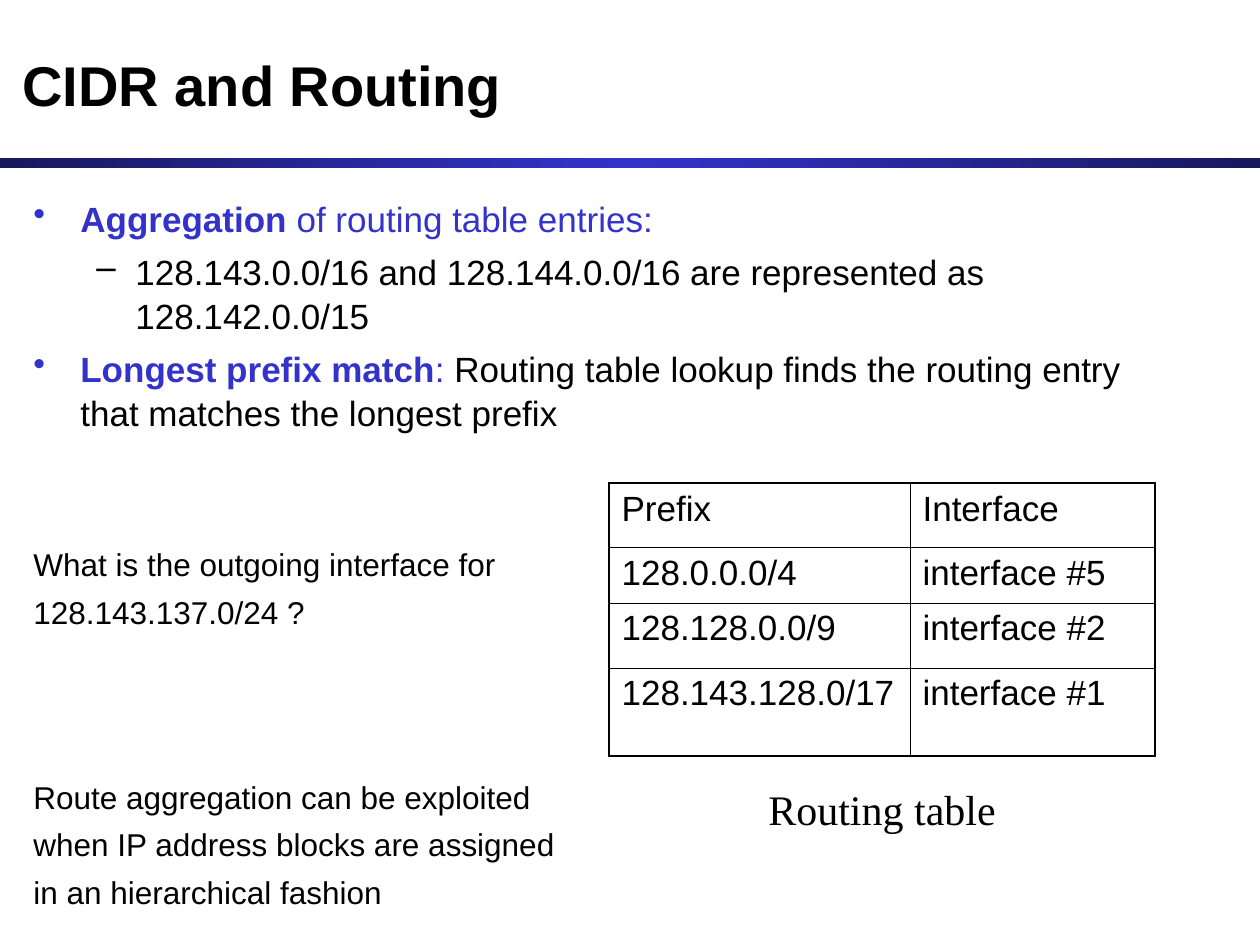
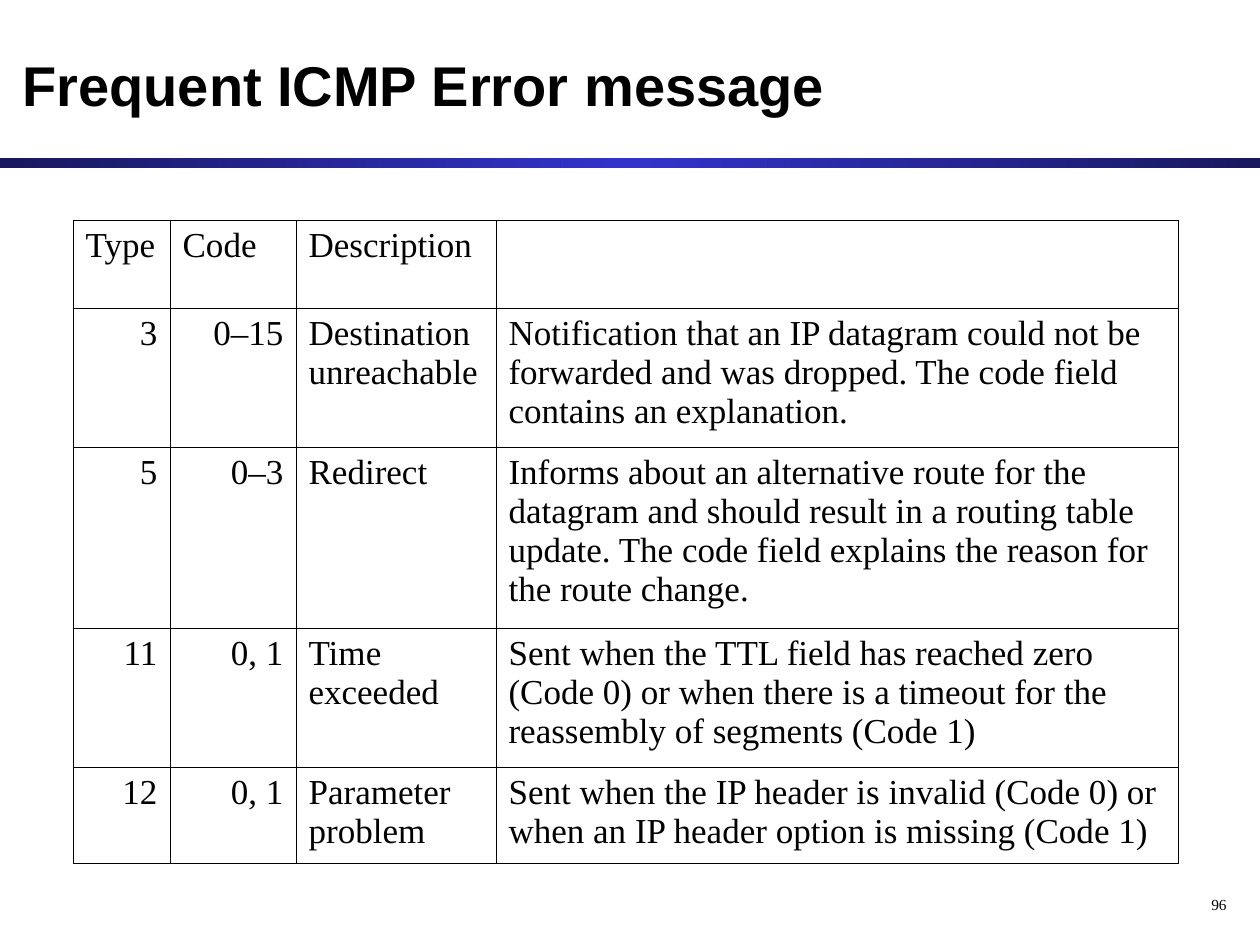
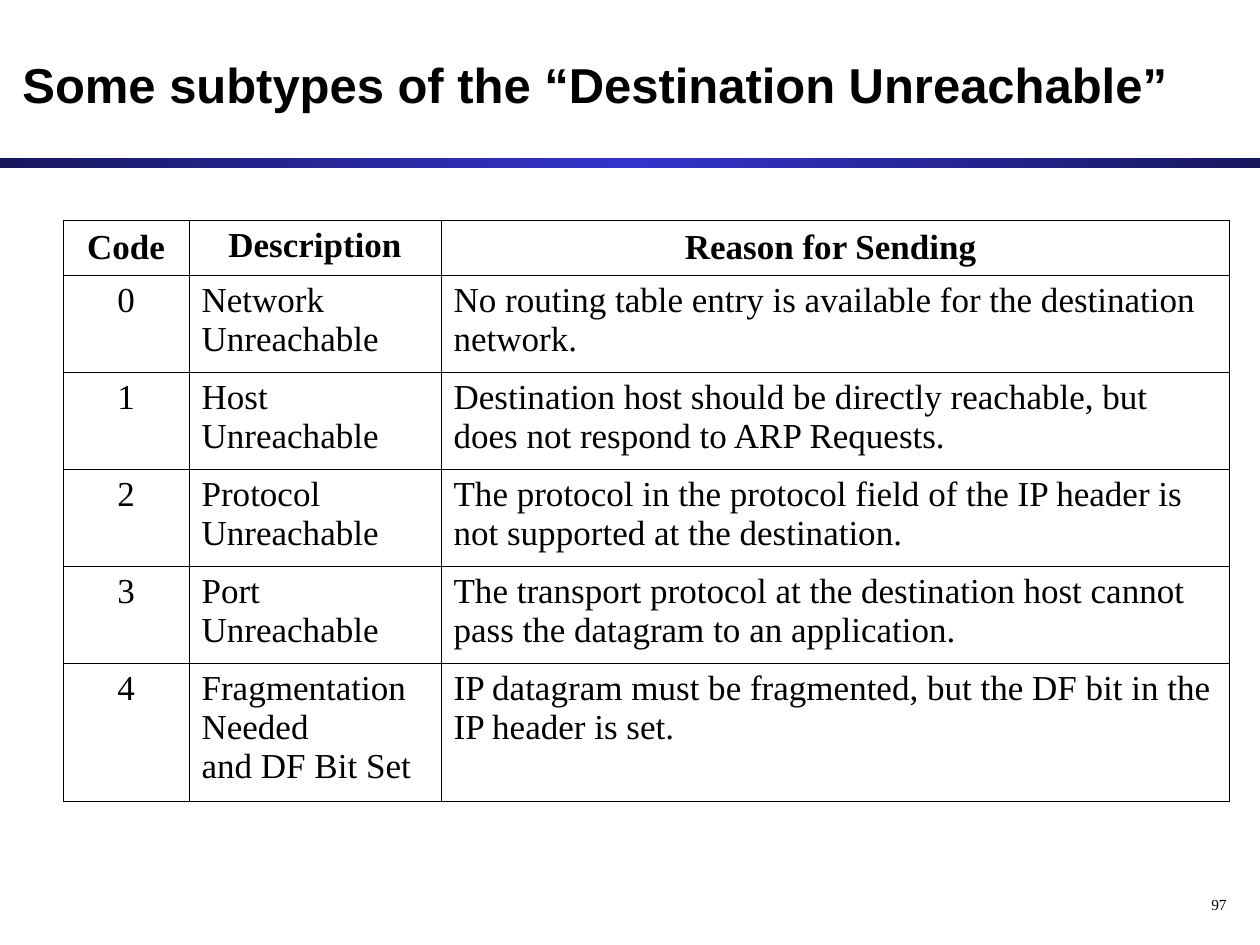
from copy import deepcopy

from lxml.etree import SubElement
from pptx import Presentation
from pptx.dml.color import RGBColor
from pptx.enum.shapes import MSO_SHAPE
from pptx.enum.text import MSO_ANCHOR, PP_ALIGN
from pptx.oxml.ns import qn
from pptx.util import Emu, Pt

PX_PER_INCH = 126
COLORS = {"ink": "000000", "accent": "3333CC", "navy": "18185E", "paper": "FFFFFF"}
SANS, SERIF = "Arial", "Times New Roman"
ALIGN = {"l": PP_ALIGN.LEFT, "c": PP_ALIGN.CENTER, "r": PP_ALIGN.RIGHT}


def px(n):
    return Emu(round(n * 914400 / PX_PER_INCH))


def rgb(name):
    return RGBColor.from_string(COLORS[name])


class Deck:
    """Holds the shared style and the slide being built."""

    def __init__(self):
        self.prs = Presentation()
        self.prs.slide_width, self.prs.slide_height = px(1260), px(945)
        self.s = None

    def new_slide(self, title, size=32, number=None):
        self.s = self.prs.slides.add_slide(self.prs.slide_layouts[6])
        self.band()
        if number:
            p = self.text(976, 892, 263, 32, number, size=8.8, name=SERIF)
            p.alignment, p.line_spacing = PP_ALIGN.RIGHT, 0.8
        self.text(10, 21, 1239, 126, title, MSO_ANCHOR.MIDDLE, size=size, bold=True)

    def band(self):
        sp = self.s.shapes.add_shape(MSO_SHAPE.RECTANGLE, 0, px(158), px(1260), px(10))
        sp.shadow.inherit = False
        sp.line.fill.background()
        sp.fill.gradient()
        sp.fill.gradient_angle = 0
        stops = sp.fill.gradient_stops
        stops[0].color.rgb, stops[1].color.rgb = rgb("navy"), rgb("accent")
        stops[0].position, stops[1].position = 0, 0.5
        gs_list = sp.fill._fill._gradFill.find(qn("a:gsLst"))
        end = deepcopy(gs_list[0])
        end.set("pos", "100000")
        gs_list.append(end)

    def frame(self, x, y, w, h, anchor=MSO_ANCHOR.TOP):
        tf = self.s.shapes.add_textbox(px(x), px(y), px(w), px(h)).text_frame
        tf.word_wrap, tf.vertical_anchor = True, anchor
        return tf

    def text(self, x, y, w, h, text, anchor=MSO_ANCHOR.TOP, **fmt):
        p = self.frame(x, y, w, h, anchor).paragraphs[0]
        self.run(p, text, **fmt)
        return p

    def run(self, p, text, color="ink", size=20, **fmt):
        """Add text to p; a newline becomes a line break."""
        for i, line in enumerate(text.split("\n")):
            if i:
                p.add_line_break()
            r = p.add_run()
            r.text = line
            r.font.color.rgb = rgb(color)
            for key, value in {"name": SANS, "size": Pt(size), **fmt}.items():
                setattr(r.font, key, value)

    def body(self, x, y, w, h, items):
        """Each item is (space before, bullet or None, runs of (text, format))."""
        bullets = {"•": (47, 47, "accent"), "–": (102, 39, "ink")}
        tf = self.frame(x, y, w, h)
        for i, (before, bullet, runs) in enumerate(items):
            p = tf.add_paragraph() if i else tf.paragraphs[0]
            p.line_spacing, p.space_before = 1.05, Pt(before)
            if bullet:
                margin, hang, color = bullets[bullet]
                pPr = p._p.get_or_add_pPr()
                pPr.set("marL", str(px(margin)))
                pPr.set("indent", str(-px(hang)))
                clr = SubElement(pPr, qn("a:buClr"))
                SubElement(clr, qn("a:srgbClr"), val=COLORS[color])
                SubElement(pPr, qn("a:buChar"), char=bullet)
            for text, fmt in runs:
                self.run(p, text, **fmt)

    def table(self, x, y, widths, heights, rows, aligns, head="l", inner=0.45,
              outer=None, name=SERIF, head_bold=False, filled=False):
        """aligns has a letter per column; head aligns the first row."""
        tbl = self.s.shapes.add_table(len(rows), len(widths), px(x), px(y),
                                      px(sum(widths)), px(sum(heights))).table
        tbl.first_row = tbl.horz_banding = False
        for col, w in zip(tbl.columns, widths):
            col.width = px(w)
        for row, h in zip(tbl.rows, heights):
            row.height = px(h)
        outer = outer or inner
        for i, row in enumerate(rows):
            for j, text in enumerate(row):
                cell = tbl.cell(i, j)
                edges = {"lnL": j == 0, "lnR": j == len(widths) - 1,
                         "lnT": i == 0, "lnB": i == len(rows) - 1}
                self.borders(cell, {k: outer if e else inner for k, e in edges.items()})
                if filled and 0 in (i, j):
                    cell.fill.solid()
                    cell.fill.fore_color.rgb = rgb("paper")
                else:
                    cell.fill.background()
                p = cell.text_frame.paragraphs[0]
                p.alignment = ALIGN[aligns[j] if i else head]
                if text:
                    self.run(p, text, name=name, bold=head_bold and i == 0)
        return tbl

    def borders(self, cell, widths):
        tcPr = cell._tc.get_or_add_tcPr()
        for tag, width in widths.items():
            ln = SubElement(tcPr, qn("a:" + tag), w=str(Pt(width)))
            fill = SubElement(ln, qn("a:solidFill"))
            SubElement(fill, qn("a:srgbClr"), val=COLORS["ink"])


def cidr_slide(deck):
    deck.new_slide("CIDR and Routing")
    blue, small = {"color": "accent"}, {"size": 18}
    strong = {**blue, "bold": True}
    deck.body(21, 189, 1176, 714, [
        (0, "•", [("Aggregation", strong), (" of routing table entries:", blue)]),
        (5, "–", [("128.143.0.0/16 and 128.144.0.0/16 are represented as "
                   "128.142.0.0/15", {})]),
        (5, "•", [("Longest prefix match", strong), (":", blue),
                  (" Routing table lookup finds the routing entry that matches "
                   "the longest prefix", {})]),
        (63, None, [("What is the outgoing interface for", small)]),
        (4.5, None, [("128.143.137.0/24 ?", small)]),
        (83, None, [("Route aggregation can be exploited", small)]),
        (4.5, None, [("when IP address blocks are assigned", small)]),
        (4.5, None, [("in an hierarchical fashion", small)]),
    ])
    deck.table(609, 483, [301, 245], [64, 56, 65, 88], [
        ("Prefix", "Interface"),
        ("128.0.0.0/4", "interface #5"),
        ("128.128.0.0/9", "interface #2"),
        ("128.143.128.0/17", "interface #1"),
    ], "ll", outer=1.08, name=SANS)
    deck.text(756, 777, 305, 63, "Routing table", size=24, name=SERIF)


def icmp_slide(deck):
    deck.new_slide("Frequent ICMP Error message", number="96")
    deck.table(73, 220, [97, 126, 200, 682], [88, 139, 181, 139, 96], [
        ("Type", "Code", "Description", ""),
        ("3", "0–15", "Destination unreachable",
         "Notification that an IP datagram could not be forwarded and was dropped. "
         "The code field contains an explanation."),
        ("5", "0–3", "Redirect",
         "Informs about an alternative route for the datagram and should result in a "
         "routing table update. The code field explains the reason for the route change."),
        ("11", "0, 1", "Time exceeded",
         "Sent when the TTL field has reached zero (Code 0) or when there is a timeout "
         "for the reassembly of segments (Code 1)"),
        ("12", "0, 1", "Parameter\nproblem",
         "Sent when the IP header is invalid (Code 0) or when an IP header option is "
         "missing (Code 1)"),
    ], "rrll")


def unreachable_slide(deck):
    deck.new_slide("Some subtypes of the “Destination Unreachable”", size=28, number="97")
    tbl = deck.table(63, 220, [126, 252, 788], [55] + [97] * 4 + [138], [
        ("Code", "Description", "Reason for Sending "),
        ("0", "Network Unreachable",
         "No routing table entry is available for the destination network."),
        ("1", "Host Unreachable",
         "Destination host should be directly reachable, but does not respond to "
         "ARP Requests."),
        ("2", "Protocol Unreachable",
         "The protocol in the protocol field of the IP header is not supported at "
         "the destination."),
        ("3", "Port Unreachable",
         "The transport protocol at the destination host cannot pass the datagram to "
         "an application."),
        ("4", "Fragmentation Needed\nand DF Bit Set",
         "IP datagram must be fragmented, but the DF bit in the IP header is set."),
    ], "cll", head="c", inner=0.34, head_bold=True, filled=True)
    for j in (0, 2):
        tbl.cell(0, j).vertical_anchor = MSO_ANCHOR.MIDDLE


def main():
    deck = Deck()
    for build in (cidr_slide, icmp_slide, unreachable_slide):
        build(deck)
    deck.prs.save("out.pptx")


if __name__ == "__main__":
    main()
